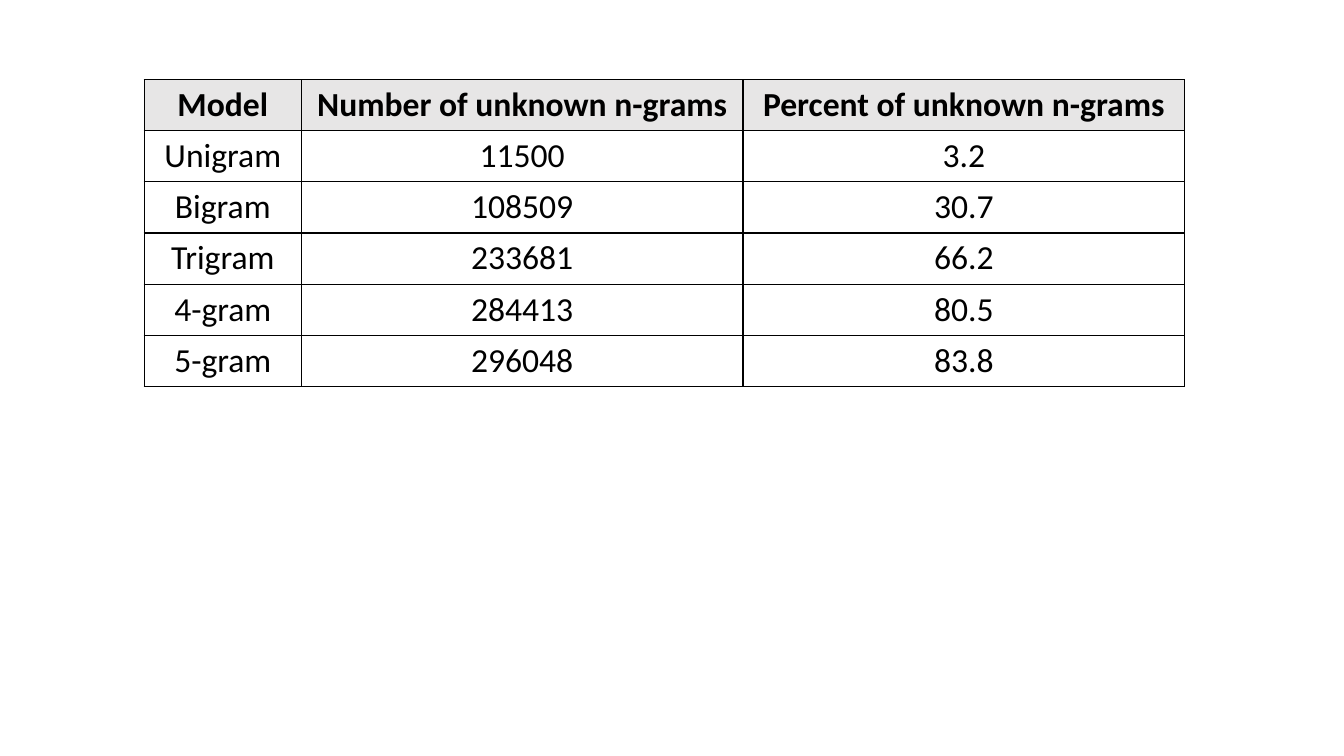
"""Build a slide with a table of unknown n-grams per model."""
import dataclasses

import lxml.etree
import pptx
import pptx.dml.color
import pptx.enum.text
import pptx.oxml.ns
import pptx.table
import pptx.util

BLACK = pptx.dml.color.RGBColor(0x00, 0x00, 0x00)
HEADER_GRAY = pptx.dml.color.RGBColor(0xE7, 0xE6, 0xE6)

FONT_NAME = "Calibri"
BORDER_WIDTH = pptx.util.Pt(1)
ROW_HEIGHT = 0.5
BLANK_LAYOUT = 6


@dataclasses.dataclass(frozen=True)
class Column:
    heading: str
    width: float


@dataclasses.dataclass(frozen=True)
class ModelResult:
    model: str
    unknown_count: str
    unknown_percent: str


COLUMNS = [
    Column("Model", 1.56),
    Column("Number of unknown n-grams", 4.38),
    Column("Percent of unknown n-grams", 4.38),
]

RESULTS = [
    ModelResult("Unigram", "11500", "3.2"),
    ModelResult("Bigram", "108509", "30.7"),
    ModelResult("Trigram", "233681", "66.2"),
    ModelResult("4-gram", "284413", "80.5"),
    ModelResult("5-gram", "296048", "83.8"),
]


def write_text(
    cell: pptx.table._Cell,
    text: str,
    *,
    size: float = 24,
    bold: bool = False,
    color: pptx.dml.color.RGBColor = BLACK,
) -> None:
    paragraph = cell.text_frame.paragraphs[0]
    paragraph.alignment = pptx.enum.text.PP_ALIGN.CENTER
    run = paragraph.add_run()
    run.text = text
    run.font.name = FONT_NAME
    run.font.size = pptx.util.Pt(size)
    run.font.bold = bold
    run.font.color.rgb = color


def add_borders(cell: pptx.table._Cell) -> None:
    properties = cell._tc.get_or_add_tcPr()
    qualified = pptx.oxml.ns.qn
    for position, side in enumerate(("a:lnL", "a:lnR", "a:lnT", "a:lnB")):
        line = lxml.etree.Element(qualified(side), w=str(BORDER_WIDTH))
        fill = lxml.etree.SubElement(line, qualified("a:solidFill"))
        lxml.etree.SubElement(fill, qualified("a:srgbClr"), val=str(BLACK))
        properties.insert(position, line)


def fill_row(table: pptx.table.Table, row: int, texts: list[str], *, header: bool) -> None:
    table.rows[row].height = pptx.util.Inches(ROW_HEIGHT)
    for column, text in enumerate(texts):
        cell = table.cell(row, column)
        write_text(cell, text, bold=header)
        if header:
            cell.fill.solid()
            cell.fill.fore_color.rgb = HEADER_GRAY
        else:
            cell.fill.background()
        add_borders(cell)


def main() -> None:
    presentation = pptx.Presentation()
    presentation.slide_width = pptx.util.Inches(13.33)
    presentation.slide_height = pptx.util.Inches(7.5)
    slide = presentation.slides.add_slide(presentation.slide_layouts[BLANK_LAYOUT])

    row_count = len(RESULTS) + 1
    table = slide.shapes.add_table(
        row_count,
        len(COLUMNS),
        pptx.util.Inches(1.43),
        pptx.util.Inches(0.79),
        pptx.util.Inches(sum(column.width for column in COLUMNS)),
        pptx.util.Inches(row_count * ROW_HEIGHT),
    ).table
    table.horz_banding = False
    for index, column in enumerate(COLUMNS):
        table.columns[index].width = pptx.util.Inches(column.width)

    fill_row(table, 0, [column.heading for column in COLUMNS], header=True)
    for row, result in enumerate(RESULTS, start=1):
        fill_row(table, row, list(dataclasses.astuple(result)), header=False)

    presentation.save("out.pptx")


if __name__ == "__main__":
    main()
